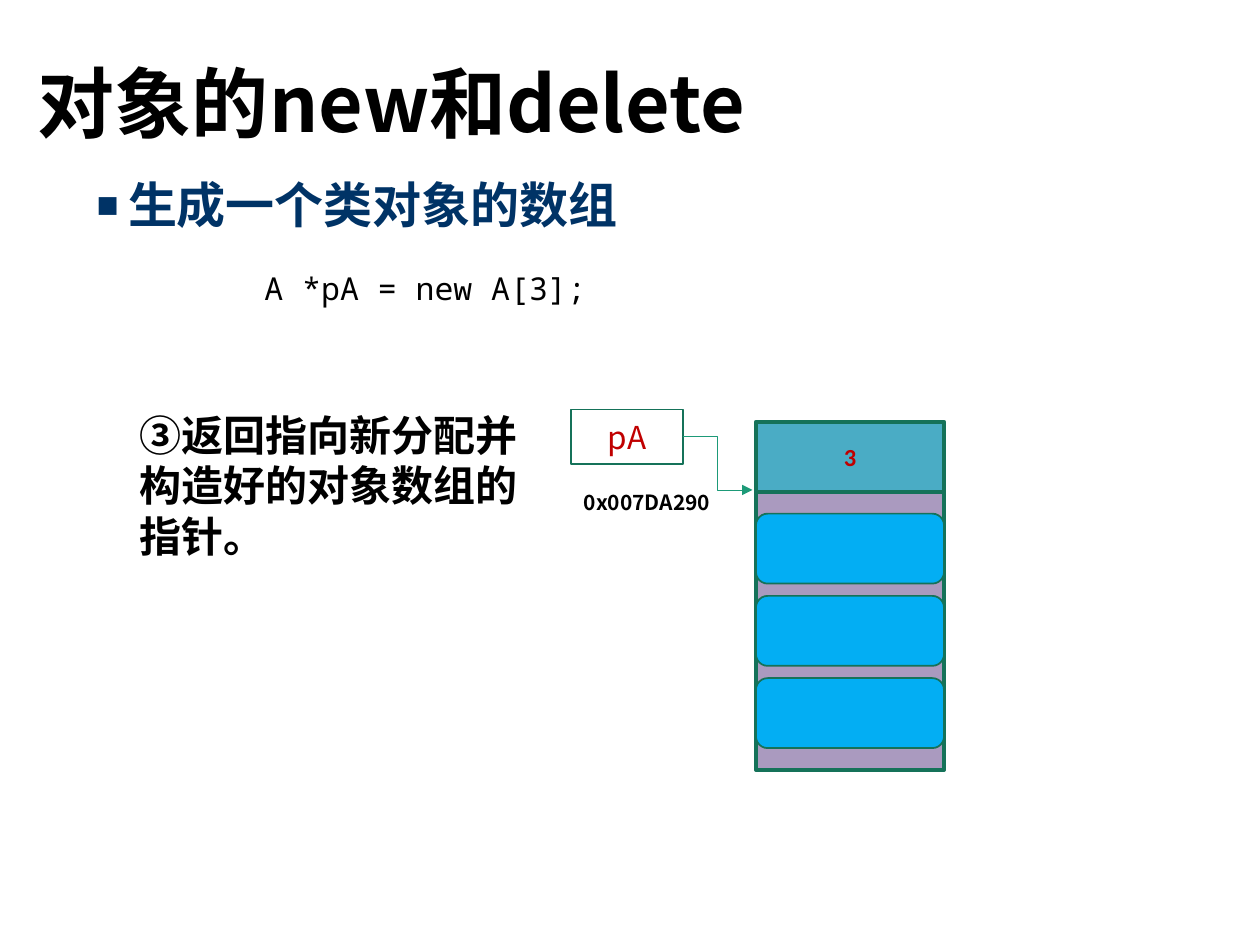
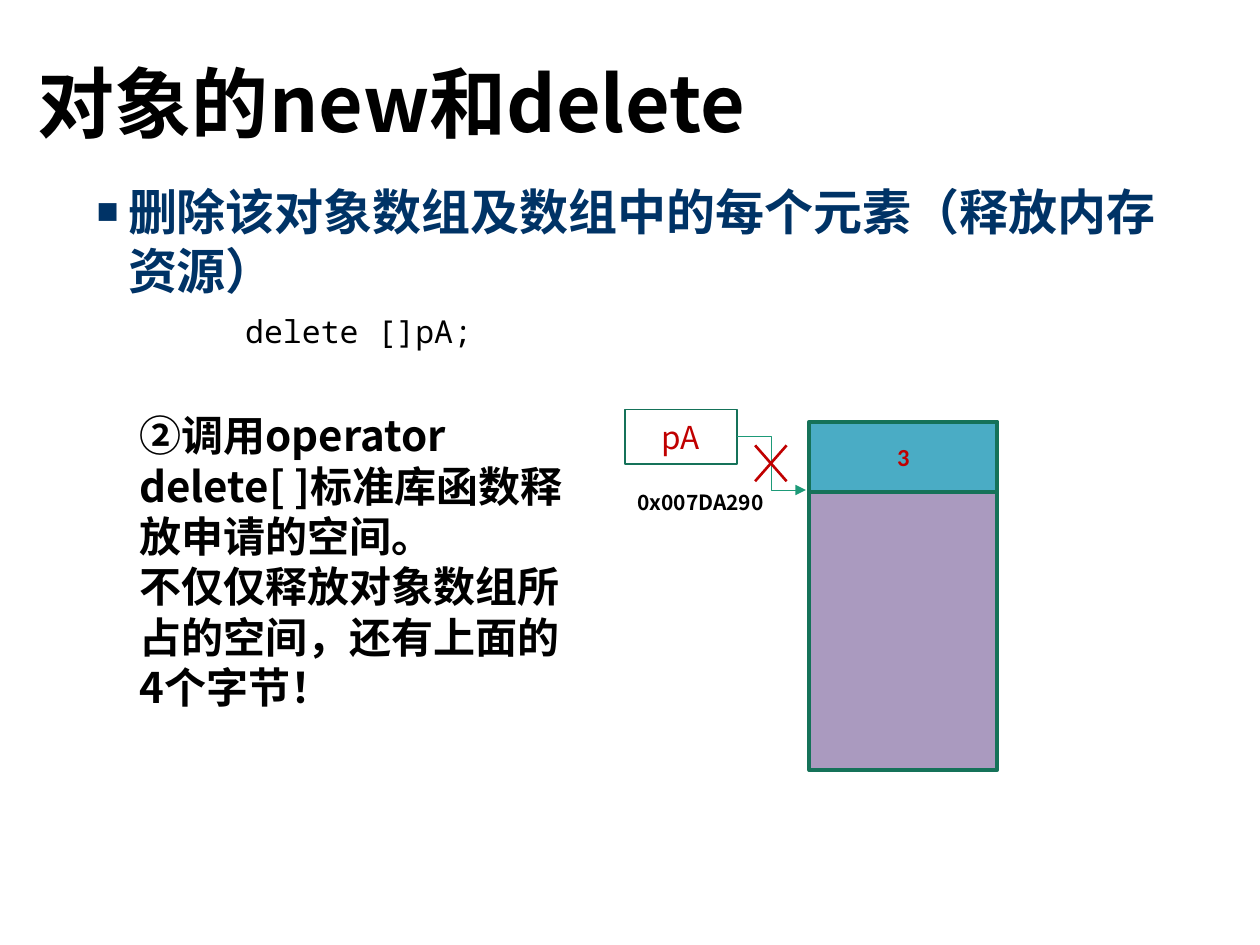
from lxml.etree import SubElement
from pptx import Presentation
from pptx.dml.color import RGBColor
from pptx.enum.shapes import MSO_CONNECTOR as CONN, MSO_SHAPE as SHAPE
from pptx.enum.text import MSO_ANCHOR as ANCHOR, MSO_AUTO_SIZE as AUTO, PP_ALIGN as ALIGN
from pptx.oxml.ns import qn
from pptx.util import Pt

CJK = "Noto Sans CJK SC"
MONO = "Noto Sans Mono"
BLACK, NAVY, RED, WHITE = "000000", "003366", "C00000", "FFFFFF"
GREEN, ARROW = "157259", "1D9A78"
MEMORY, COUNT, OBJECT = "AA9ABF", "4AACC5", "03AEF3"

TITLE = dict(size=Pt(44), bold=True, name=CJK, color=BLACK)
HEADING = dict(size=Pt(28), bold=True, name=MONO, color=NAVY)
CODE = dict(size=Pt(18), bold=False, name=MONO, color=BLACK)
STEP = dict(size=Pt(24), bold=True, name=CJK, color=BLACK)
ADDRESS = dict(size=Pt(12), bold=True, name=CJK, color=BLACK)
NUMBER = dict(size=Pt(14), bold=True, name="Calibri", color=RED)
POINTER = dict(size=Pt(18), bold=False, name=CJK, color=RED)

HEADER_TOP, HEADER_HEIGHT = 241, 40
BLOCK_WIDTH, BLOCK_HEIGHT = 107.5, 159
OBJECT_TOP, OBJECT_PITCH = 293.5, 47


def rgb(value):
    return RGBColor.from_string(value)


def place(shape, left, top, width, height):
    for key, value in dict(left=left, top=top, width=width, height=height).items():
        setattr(shape, key, Pt(value))


def write(tf, paragraphs, style, align=ALIGN.LEFT, anchor=ANCHOR.TOP):
    for key, value in dict(word_wrap=True, auto_size=AUTO.NONE, vertical_anchor=anchor).items():
        setattr(tf, key, value)
    for i, text in enumerate(paragraphs):
        p = tf.paragraphs[0] if i == 0 else tf.add_paragraph()
        p.alignment = align
        p.space_before = Pt(0)
        r = p.add_run()
        r.text = text
        for key, value in style.items():
            if key == "color":
                r.font.color.rgb = rgb(value)
            else:
                setattr(r.font, key, value)
        SubElement(r.font._element, qn("a:ea")).set("typeface", CJK)


def add_text(s, box, paragraphs, style):
    tb = s.shapes.add_textbox(*map(Pt, box))
    write(tb.text_frame, paragraphs, style)


def add_box(s, kind, box, fill, weight, text=None, style=None):
    sp = s.shapes.add_shape(kind, *map(Pt, box))
    sp.shadow.inherit = False
    sp.fill.solid()
    sp.fill.fore_color.rgb = rgb(fill)
    sp.line.color.rgb = rgb(GREEN)
    sp.line.width = Pt(weight)
    if text:
        write(sp.text_frame, [text], style, ALIGN.CENTER, ANCHOR.MIDDLE)


def add_line(s, kind, ends, color, weight, arrow=False):
    line = s.shapes.add_connector(kind, *map(Pt, ends))
    line.line.color.rgb = rgb(color)
    line.line.width = Pt(weight)
    if arrow:
        SubElement(line.line._get_or_add_ln(), qn("a:tailEnd")).set("type", "triangle")
    SubElement(line._element.spPr, qn("a:effectLst"))


def add_bullet(p):
    pPr = p._p.get_or_add_pPr()
    pPr.set("marL", str(Pt(18)))
    pPr.set("indent", str(-Pt(18)))
    SubElement(pPr, qn("a:buSzPct")).set("val", "75000")
    SubElement(pPr, qn("a:buChar")).set("char", "■")


def add_slide(prs, heading, spacing):
    s = prs.slides.add_slide(prs.slide_layouts[1])
    title, body = s.shapes.title, s.placeholders[1]
    place(title, 14.5, 9.5, 620.5, 104.5)
    write(title.text_frame, ["对象的new和delete"], TITLE, anchor=ANCHOR.MIDDLE)
    title.text_frame.paragraphs[0].line_spacing = 0.9
    place(body, 48, 100, 633.5, 373.5)
    p = body.text_frame.paragraphs[0]
    add_bullet(p)
    write(body.text_frame, [heading], HEADING)
    p.line_spacing = spacing
    return s


def add_memory(s, left, objects=0):
    block_top = HEADER_TOP + HEADER_HEIGHT
    add_box(s, SHAPE.RECTANGLE, (left, block_top, BLOCK_WIDTH, BLOCK_HEIGHT), MEMORY, 2.25)
    add_box(s, SHAPE.RECTANGLE, (left, HEADER_TOP, BLOCK_WIDTH, HEADER_HEIGHT), COUNT, 2.25,
            "3", NUMBER)
    for i in range(objects):
        top = OBJECT_TOP + i * OBJECT_PITCH
        add_box(s, SHAPE.ROUNDED_RECTANGLE, (left, top, BLOCK_WIDTH, HEADER_HEIGHT), OBJECT, 1)


def add_pointer(s, left):
    add_text(s, (left - 105.5, 276, 106, 22), ["0x007DA290"], ADDRESS)
    add_box(s, SHAPE.RECTANGLE, (left - 105.5, 234, 64, 31), WHITE, 1, "pA", POINTER)
    add_line(s, CONN.ELBOW, (left - 41.5, 249.5, left - 2, 280), ARROW, 0.5, arrow=True)


def add_cross(s, left, top, right, bottom):
    for start, end in ((top, bottom), (bottom, top)):
        add_line(s, CONN.STRAIGHT, (left, start, right, end), RED, 1.5)


def main():
    prs = Presentation()
    prs.slide_width, prs.slide_height = Pt(720), Pt(540)

    s = add_slide(prs, "生成一个类对象的数组", 0.9)
    add_text(s, (144, 150, 527, 29), ["A *pA = new A[3];"], CODE)
    add_text(s, (72.5, 230.5, 236, 94.5), ["③返回指向新分配并构造好的对象数组的指针。"], STEP)
    add_memory(s, 432, objects=3)
    add_pointer(s, 432)

    s = add_slide(prs, "删除该对象数组及数组中的每个元素（释放内存资源）", 1.0)
    add_text(s, (133, 175, 527, 29), ["delete []pA;"], CODE)
    add_text(s, (72.5, 230.5, 264, 181.5),
             ["②调用operator delete[ ]标准库函数释放申请的空间。",
              "不仅仅释放对象数组所占的空间，还有上面的4个字节！"], STEP)
    add_memory(s, 462.5)
    add_pointer(s, 462.5)
    add_cross(s, 431.5, 254.5, 449.5, 275)

    prs.save("out.pptx")


if __name__ == "__main__":
    main()
